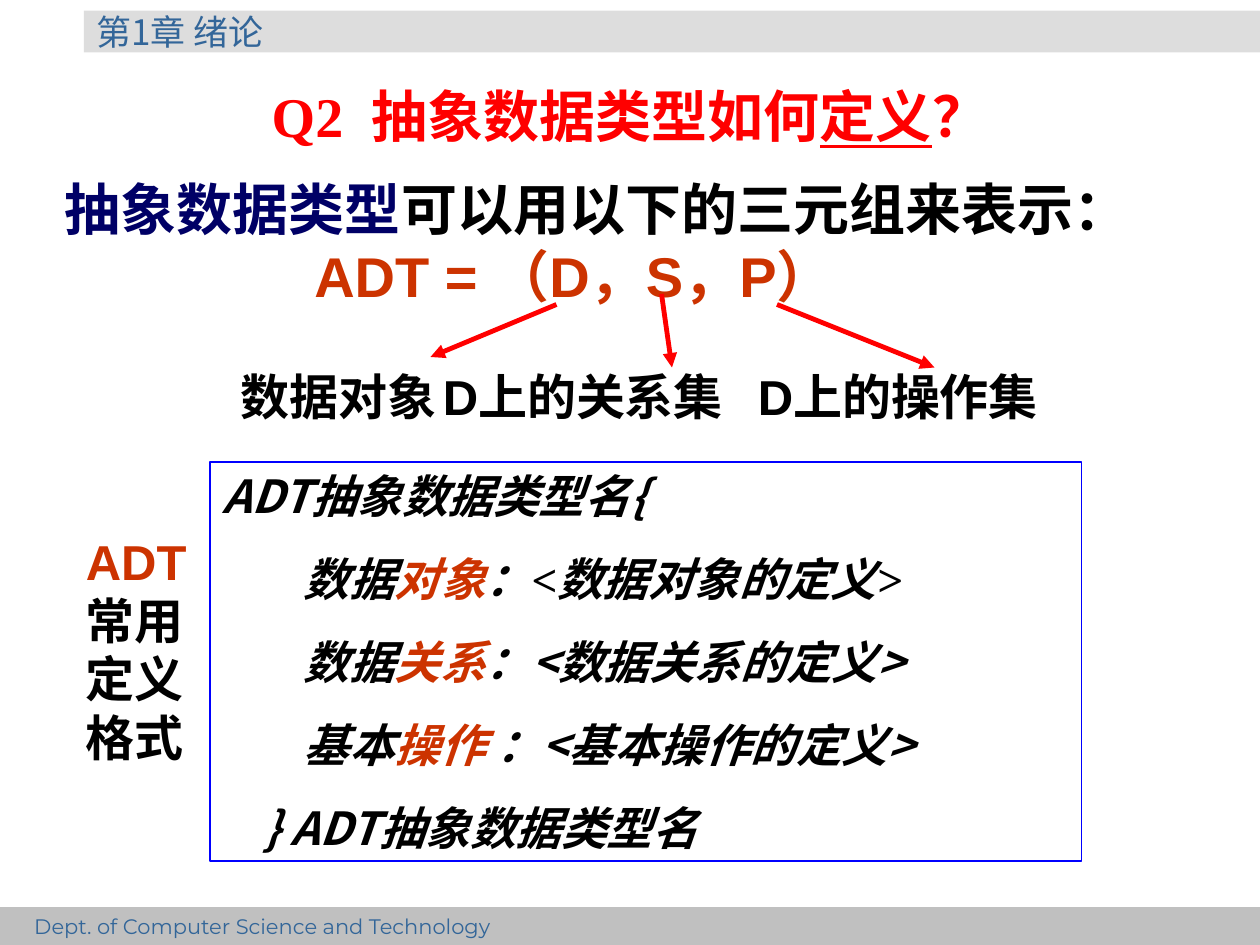
"""Build the slide that defines an abstract data type as a triple."""
from pptx import Presentation
from pptx.dml.color import RGBColor
from pptx.enum import shapes, text
from pptx.oxml import ns
from pptx.util import Pt
from lxml import etree

RED = RGBColor(0xFF, 0x00, 0x00)
ORANGE = RGBColor(0xCC, 0x33, 0x00)
NAVY = RGBColor(0x00, 0x00, 0x66)
BLACK = RGBColor(0x00, 0x00, 0x00)
STEEL = RGBColor(0x33, 0x66, 0x99)
BLUE = RGBColor(0x00, 0x00, 0xFF)
LIGHT_GRAY = RGBColor(0xDD, 0xDD, 0xDD)
GRAY = RGBColor(0xC0, 0xC0, 0xC0)
CJK, SERIF, SANS, FOOTER = "Noto Sans CJK SC", "Times New Roman", "Arial", "Montserrat"

HEADER = [{"runs": [("第1章 绪论", STEEL)]}]
DEPARTMENT = [{"runs": [("Dept. of Computer Science and Technology", STEEL)], "indent": 12.5}]
TITLE = [{"runs": [("Q2  抽象数据类型如何", RED), ("定义", RED, {"underline": True}), ("？", RED)],
          "align": text.PP_ALIGN.CENTER}]
TRIPLE = [
    {"runs": [("抽象数据类型", NAVY), ("可以用以下的三元组来表示：", BLACK)]},
    {"runs": [("ADT = （D，S，P）", ORANGE)], "indent": 142.5},
    {"runs": [("数据对象\tD上的关系集\tD上的操作集", BLACK)], "indent": 100.5,
     "tabs": [237, 436], "size": 28, "before": 33},
]
FIELDS = [
    [("数据", BLACK), ("对象", ORANGE), ("：", BLACK), ("<数据对象的定义>", BLACK, {"name": SERIF})],
    [("数据", BLACK), ("关系", ORANGE), ("：<数据关系的定义>", BLACK)],
    [("基本", BLACK), ("操作", ORANGE), (" ：<基本操作的定义>", BLACK)],
]
DEFINITION = [
    {"runs": [("ADT抽象数据类型名{", BLACK)]},
    *({"runs": runs, "indent": 46.5, "before": 16.2} for runs in FIELDS),
    {"runs": [("} ADT抽象数据类型名", BLACK)], "indent": 23.25, "before": 16.2},
]
SIDE_LABEL = [{"runs": [("ADT", ORANGE), ("常用定义格式", BLACK)]}]
ARROWS = [(318, 174, 246, 204), (378, 168, 384, 210), (444, 174, 534, 210)]


def write(shape, paragraphs, font, size, bold=False, italic=False, wrap=True,
          anchor=text.MSO_ANCHOR.TOP):
    frame = shape.text_frame
    frame.word_wrap = wrap
    frame.vertical_anchor = anchor
    for index, content in enumerate(paragraphs):
        paragraph = frame.add_paragraph() if index else frame.paragraphs[0]
        paragraph.alignment = content.get("align", text.PP_ALIGN.LEFT)
        paragraph.space_before = Pt(content.get("before", 0))
        properties = paragraph._p.get_or_add_pPr()
        properties.set("marL", "0")
        properties.set("indent", str(Pt(content.get("indent", 0))))
        if "tabs" in content:
            tabs = etree.SubElement(properties, ns.qn("a:tabLst"))
            for position in content["tabs"]:
                etree.SubElement(tabs, ns.qn("a:tab"), pos=str(Pt(position)), algn="l")
        for words, color, *extras in content["runs"]:
            run = paragraph.add_run()
            run.text = words
            run.font.name = font
            run.font.size = Pt(content.get("size", size))
            run.font.bold, run.font.italic = bold, italic
            run.font.color.rgb = color
            for extra in extras:
                for attribute, value in extra.items():
                    setattr(run.font, attribute, value)


def add_box(slide, bounds, fill=None, line=None):
    shape = slide.shapes.add_shape(shapes.MSO_SHAPE.RECTANGLE, *map(Pt, bounds))
    shape.shadow.inherit = False
    if fill is None:
        shape.fill.background()
    else:
        shape.fill.solid()
        shape.fill.fore_color.rgb = fill
    if line is None:
        shape.line.fill.background()
    else:
        shape.line.color.rgb = line
        shape.line.width = Pt(0.75)
    return shape


def add_text(slide, bounds):
    return slide.shapes.add_textbox(*map(Pt, bounds))


def add_arrow(slide, ends):
    arrow = slide.shapes.add_connector(shapes.MSO_CONNECTOR.STRAIGHT, *map(Pt, ends))
    arrow.line.color.rgb = RED
    arrow.line.width = Pt(2.75)
    etree.SubElement(arrow.line._get_or_add_ln(), ns.qn("a:tailEnd"), type="triangle")
    etree.SubElement(arrow._element.spPr, ns.qn("a:effectLst"))


def main():
    presentation = Presentation()
    presentation.slide_width, presentation.slide_height = Pt(720), Pt(540)
    slide = presentation.slides.add_slide(presentation.slide_layouts[6])
    middle = text.MSO_ANCHOR.MIDDLE
    write(add_box(slide, (48, 6, 672, 24), fill=LIGHT_GRAY), HEADER, CJK, 20,
          wrap=False, anchor=middle)
    write(add_box(slide, (0, 518.4, 720, 21.6), fill=GRAY), DEPARTMENT, FOOTER, 12)
    write(add_text(slide, (54, 48, 612, 36)), TITLE, SERIF, 32, bold=True, anchor=middle)
    write(add_text(slide, (30, 96, 660, 185)), TRIPLE, SANS, 32, bold=True)
    write(add_box(slide, (120, 264, 498, 228), line=BLUE), DEFINITION, CJK, 26,
          bold=True, italic=True)
    write(add_text(slide, (42, 300, 78, 142)), SIDE_LABEL, SANS, 28, bold=True)
    for ends in ARROWS:
        add_arrow(slide, ends)
    presentation.save("out.pptx")


if __name__ == "__main__":
    main()
